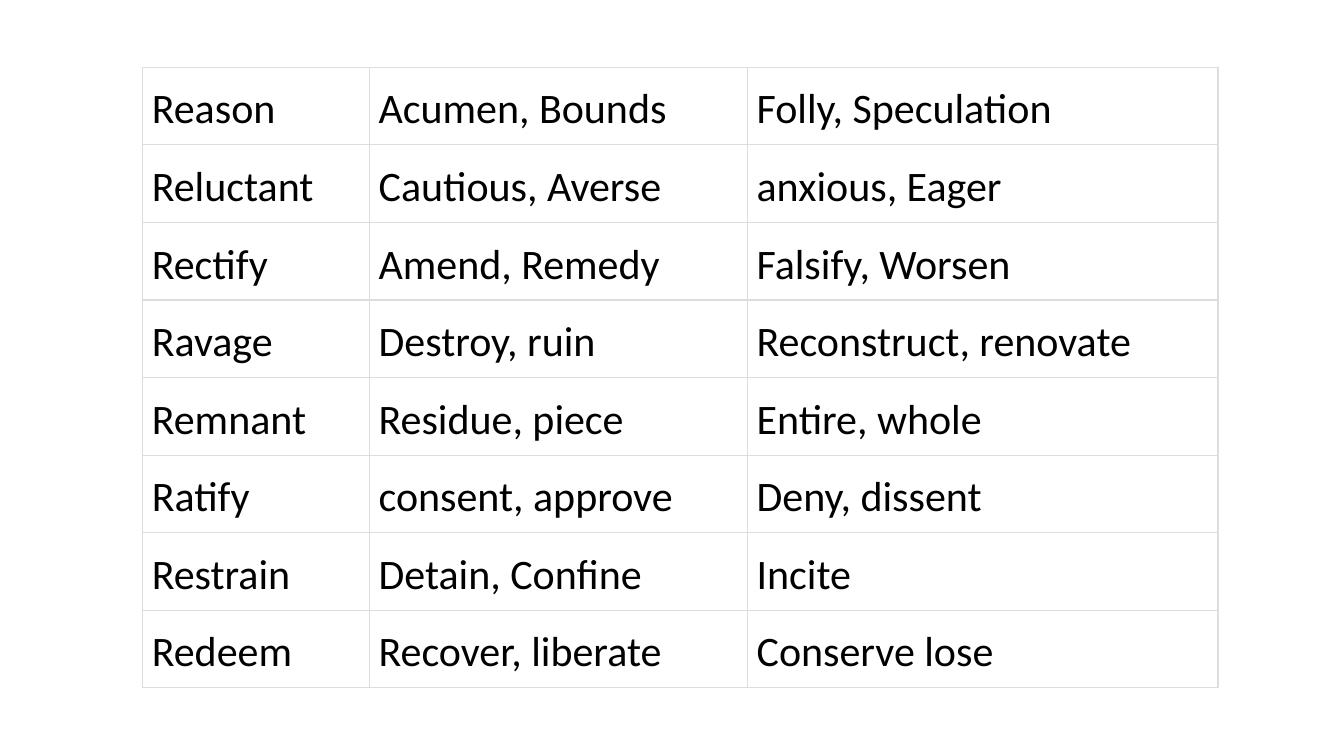
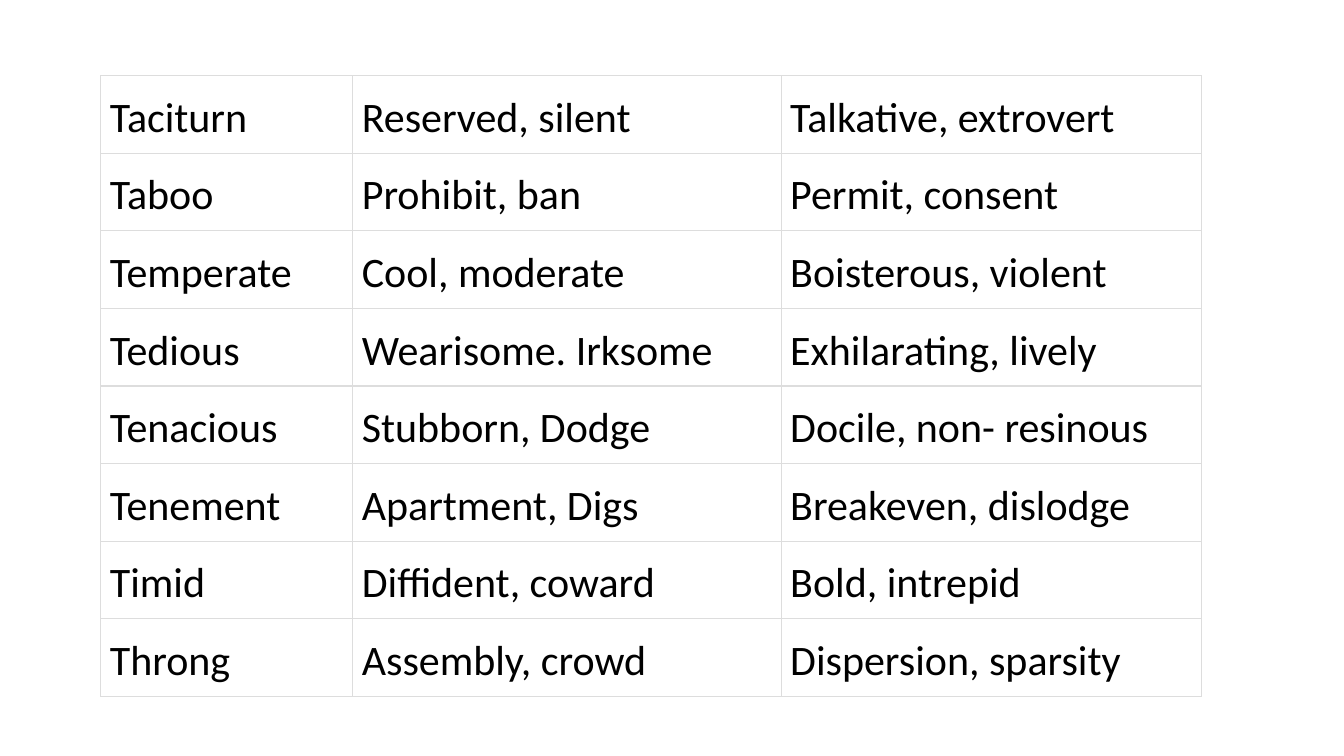
"""Build two vocabulary slides, each a table of words, synonyms and antonyms."""
from typing import NamedTuple

from lxml.etree import SubElement
from pptx import Presentation
from pptx.dml.color import RGBColor
from pptx.oxml.ns import qn
from pptx.presentation import Presentation as Deck
from pptx.table import _Cell
from pptx.util import Inches, Pt

BLACK = RGBColor(0x00, 0x00, 0x00)
WHITE = RGBColor(0xFF, 0xFF, 0xFF)
GREY = RGBColor(0xDD, 0xDD, 0xDD)

UNIT = Inches(1) // 12
SLIDE_COLS, SLIDE_ROWS = 160, 90
ROW_HEIGHT = Inches(0.77)
CELL_MARGIN = Inches(0.09)
BORDER_WIDTH = Pt(1)
BLANK_LAYOUT = 6


class Entry(NamedTuple):
    word: str
    synonyms: str
    antonyms: str


class WordTable(NamedTuple):
    left: int
    top: int
    widths: tuple[int, int, int]
    entries: tuple[Entry, ...]


WORD_TABLES = (
    WordTable(17, 8, (27, 45, 56), (
        Entry("Reason", "Acumen, Bounds", "Folly, Speculation"),
        Entry("Reluctant", "Cautious, Averse", "anxious, Eager"),
        Entry("Rectify", "Amend, Remedy", "Falsify, Worsen"),
        Entry("Ravage", "Destroy, ruin", "Reconstruct, renovate"),
        Entry("Remnant", "Residue, piece", "Entire, whole"),
        Entry("Ratify", "consent, approve", "Deny, dissent"),
        Entry("Restrain", "Detain, Confine", "Incite"),
        Entry("Redeem", "Recover, liberate", "Conserve lose"),
    )),
    WordTable(12, 9, (30, 51, 50), (
        Entry("Taciturn", "Reserved, silent", "Talkative, extrovert"),
        Entry("Taboo", "Prohibit, ban", "Permit, consent"),
        Entry("Temperate", "Cool, moderate", "Boisterous, violent"),
        Entry("Tedious", "Wearisome. Irksome", "Exhilarating, lively"),
        Entry("Tenacious", "Stubborn, Dodge", "Docile, non- resinous"),
        Entry("Tenement", "Apartment, Digs", "Breakeven, dislodge"),
        Entry("Timid", "Diffident, coward", "Bold, intrepid"),
        Entry("Throng", "Assembly, crowd", "Dispersion, sparsity"),
    )),
)


def add_borders(cell: _Cell) -> None:
    tc_pr = cell._tc.get_or_add_tcPr()
    for side in ("a:lnL", "a:lnR", "a:lnT", "a:lnB"):
        ln = SubElement(tc_pr, qn(side), w=str(BORDER_WIDTH))
        fill = SubElement(ln, qn("a:solidFill"))
        SubElement(fill, qn("a:srgbClr"), val=str(GREY))


def fill_cell(cell: _Cell, text: str) -> None:
    add_borders(cell)
    cell.fill.solid()
    cell.fill.fore_color.rgb = WHITE
    cell.margin_left = cell.margin_right = CELL_MARGIN
    cell.margin_top = cell.margin_bottom = CELL_MARGIN
    cell.text = text
    p = cell.text_frame.paragraphs[0]
    p.line_spacing = 1.15
    p.font.name = "Calibri"
    p.font.size = Pt(30)
    p.font.bold = False
    p.font.color.rgb = BLACK


def add_word_slide(prs: Deck, words: WordTable) -> None:
    s = prs.slides.add_slide(prs.slide_layouts[BLANK_LAYOUT])
    rows = len(words.entries)
    table = s.shapes.add_table(
        rows, len(words.widths), words.left * UNIT, words.top * UNIT,
        sum(words.widths) * UNIT, rows * ROW_HEIGHT).table
    table.first_row = table.horz_banding = False
    for column, width in zip(table.columns, words.widths):
        column.width = width * UNIT
    for row, entry in zip(table.rows, words.entries):
        row.height = ROW_HEIGHT
        for cell, text in zip(row.cells, entry):
            fill_cell(cell, text)


def main() -> None:
    prs = Presentation()
    prs.slide_width = SLIDE_COLS * UNIT
    prs.slide_height = SLIDE_ROWS * UNIT
    for words in WORD_TABLES:
        add_word_slide(prs, words)
    prs.save("out.pptx")


if __name__ == "__main__":
    main()
